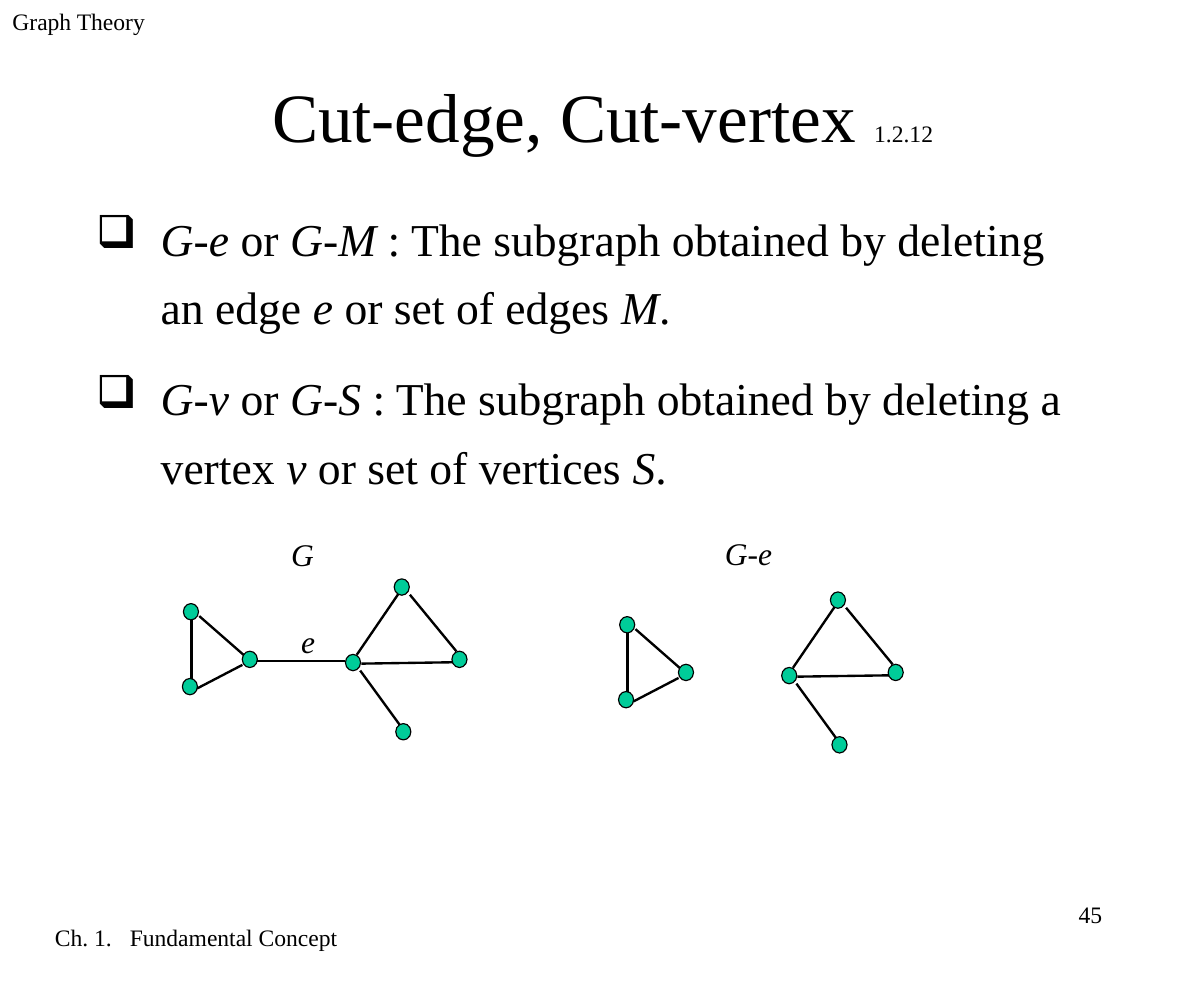
from dataclasses import dataclass

from lxml.etree import SubElement
from pptx import Presentation
from pptx.dml.color import RGBColor as Rgb
from pptx.enum.shapes import MSO_CONNECTOR as Connector, MSO_SHAPE as Preset
from pptx.enum.text import MSO_ANCHOR as Anchor, PP_ALIGN as Align
from pptx.oxml.ns import qn
from pptx.util import Pt


@dataclass(frozen=True)
class Theme:
    font: str = "Times New Roman"
    ink: Rgb = Rgb(0x00, 0x00, 0x00)
    vertex: Rgb = Rgb(0x00, 0xCC, 0x99)
    title: float = 44
    body: float = 29
    label: float = 20
    small: float = 15
    outline: float = 0.75
    edge: float = 1.5


THEME = Theme()
FRAME = {
    "word_wrap": True,
    "margin_left": Pt(7.9),
    "margin_right": Pt(7.9),
    "margin_top": Pt(4.1),
    "margin_bottom": Pt(4.1),
}
VERTEX_SIZE = (9.6, 10.4)
VERTICES = [
    (116.6, 383.6), (115.9, 431.2), (154, 413.9), (219.6, 415.9),
    (250.6, 367.9), (251.6, 459.9), (287.3, 413.9),
]
BRIDGE = (163.4, 420.3, 219.6, 420.3)
EDGES = [
    (121.7, 393.1, 121.7, 431.3),
    (126.7, 391.6, 154.8, 416.2),
    (125.3, 437.6, 154.1, 422.6),
    (253.4, 377.3, 226.8, 416.2),
    (229, 426.2, 254.2, 460.8),
    (260.6, 378, 290.2, 414),
    (229.7, 421.8, 290.2, 420.9),
]
REMAINDER_SHIFT = (277.3, 8.3)
DEFINITIONS = [
    "*G*-*e* or *G*-*M* : The subgraph obtained by deleting an edge *e* or set of edges *M*.",
    "*G*-*v *or *G*-*S* : The subgraph obtained by deleting a vertex *v* or set of vertices *S*.",
]


def add_text(slide, box, anchor=Anchor.TOP):
    """Add a text box and return its frame."""
    frame = slide.shapes.add_textbox(*map(Pt, box)).text_frame
    for name, value in {**FRAME, "vertical_anchor": anchor}.items():
        setattr(frame, name, value)
    return frame


def write(paragraph, markup, size):
    """Append text to a paragraph, with italics between asterisks."""
    for position, wording in enumerate(markup.split("*")):
        if not wording:
            continue
        run = paragraph.add_run()
        run.text = wording
        style = {"name": THEME.font, "size": Pt(size), "italic": position % 2 == 1}
        for name, value in style.items():
            setattr(run.font, name, value)
        run.font.color.rgb = THEME.ink


def add_line_of_text(slide, box, markup, size, align=Align.LEFT):
    """Add a text box with one paragraph and return the paragraph."""
    paragraph = add_text(slide, box).paragraphs[0]
    paragraph.alignment = align
    write(paragraph, markup, size)
    return paragraph


def add_tab(paragraph, position):
    """Give a paragraph one left tab stop."""
    stops = SubElement(paragraph._p.get_or_add_pPr(), qn("a:tabLst"))
    SubElement(stops, qn("a:tab"), pos=str(Pt(position)), algn="l")


def add_bullet(paragraph, indent):
    """Give a paragraph a hanging box bullet."""
    properties = paragraph._p.get_or_add_pPr()
    properties.set("marL", str(Pt(indent)))
    properties.set("indent", str(-Pt(indent)))
    colour = SubElement(properties, qn("a:buClr"))
    SubElement(colour, qn("a:srgbClr"), val=str(THEME.ink))
    SubElement(properties, qn("a:buChar"), char="❑")


def add_title(slide):
    """Add the title with its small section number."""
    title = add_text(slide, (57.6, 28, 651, 90), Anchor.MIDDLE).paragraphs[0]
    title.alignment = Align.CENTER
    write(title, "Cut-edge, Cut-vertex ", THEME.title)
    write(title, "1.2.12", THEME.small)


def add_definitions(slide):
    """Add the bulleted definitions."""
    frame = add_text(slide, (53.3, 121, 651, 203))
    for position, definition in enumerate(DEFINITIONS):
        paragraph = frame.add_paragraph() if position else frame.paragraphs[0]
        add_bullet(paragraph, 41)
        paragraph.line_spacing = 1.25
        if position:
            paragraph.space_before = Pt(14.5)
        write(paragraph, definition, THEME.body)


def add_edge(slide, ends):
    """Add one straight graph edge."""
    edge = slide.shapes.add_connector(Connector.STRAIGHT, *map(Pt, ends))
    edge.line.color.rgb = THEME.ink
    edge.line.width = Pt(THEME.edge)
    SubElement(edge._element.spPr, qn("a:effectLst"))


def add_vertex(slide, left, top):
    """Add one graph vertex."""
    vertex = slide.shapes.add_shape(Preset.OVAL, *map(Pt, (left, top, *VERTEX_SIZE)))
    vertex.shadow.inherit = False
    vertex.fill.solid()
    vertex.fill.fore_color.rgb = THEME.vertex
    vertex.line.color.rgb = THEME.ink
    vertex.line.width = Pt(THEME.outline)


def add_graph(slide, edges, shift=(0, 0)):
    """Add the edges and vertices of a graph, moved by a shift."""
    across, down = shift
    for x1, y1, x2, y2 in edges:
        add_edge(slide, (x1 + across, y1 + down, x2 + across, y2 + down))
    for left, top in VERTICES:
        add_vertex(slide, left + across, top + down)


def main():
    """Build the slide and save it."""
    deck = Presentation()
    deck.slide_width, deck.slide_height = Pt(765.4), Pt(623.5)
    slide = deck.slides.add_slide(deck.slide_layouts[6])

    add_line_of_text(slide, (0, 0, 160, 41.5), "Graph Theory", THEME.small)
    chapter = add_line_of_text(
        slide, (27, 582.2, 222, 41.3), "Ch. 1.\tFundamental Concept", THEME.small)
    add_tab(chapter, 47.6)
    add_line_of_text(slide, (548.6, 568, 160, 41.5), "45", THEME.small, Align.RIGHT)
    add_title(slide)
    add_definitions(slide)

    add_graph(slide, [*EDGES, BRIDGE])
    add_graph(slide, EDGES, REMAINDER_SHIFT)
    add_line_of_text(slide, (177.1, 336.2, 60, 31.5), "*G*", THEME.label)
    add_line_of_text(slide, (183.6, 391, 34, 31.5), "*e*", THEME.label)
    add_line_of_text(slide, (452.9, 335, 67, 31.5), "*G*-*e*", THEME.label)

    deck.save("out.pptx")


if __name__ == "__main__":
    main()
